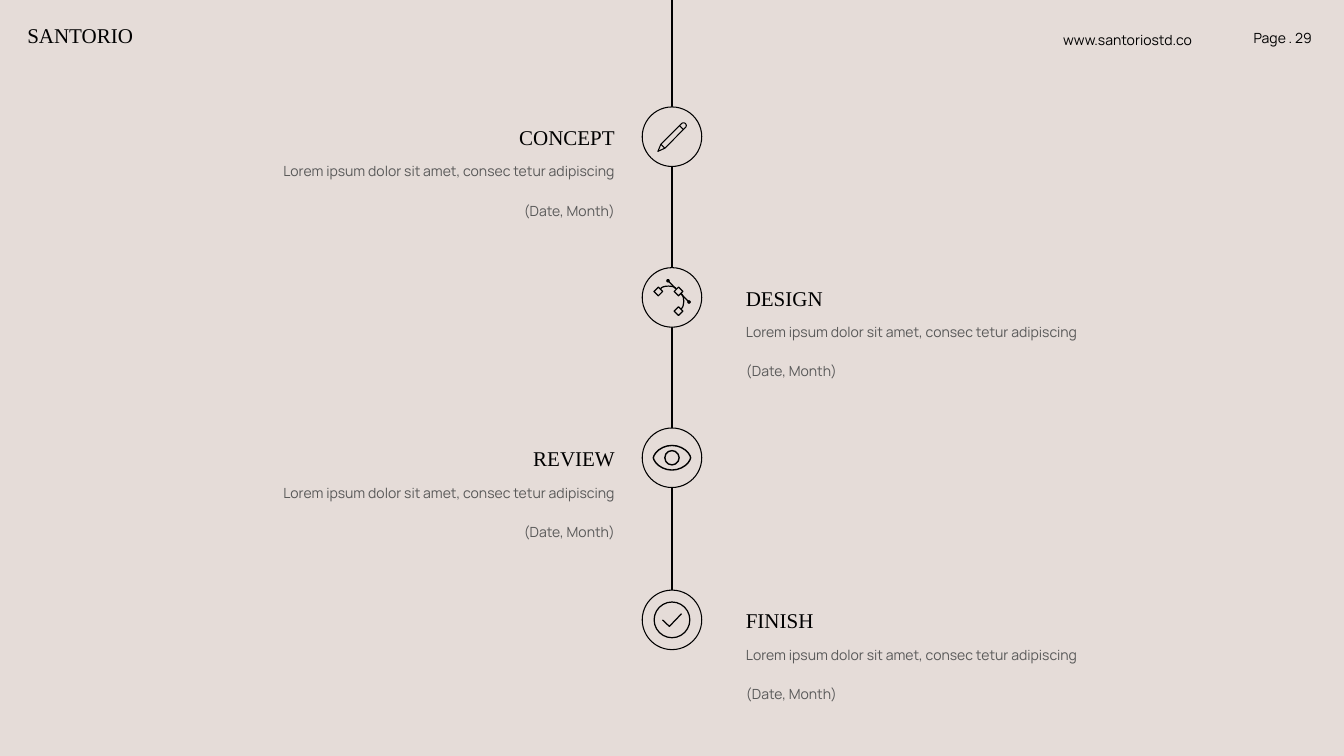
import math
import pptx
import pptx.dml.color
import pptx.enum.shapes
import pptx.enum.text
import pptx.oxml.ns
import pptx.util
from lxml import etree

Cm = pptx.util.Cm
Pt = pptx.util.Pt
RGBColor = pptx.dml.color.RGBColor
ALIGN = pptx.enum.text.PP_ALIGN
ANCHOR = pptx.enum.text.MSO_ANCHOR
FIT = pptx.enum.text.MSO_AUTO_SIZE
OVAL = pptx.enum.shapes.MSO_SHAPE.OVAL
STRAIGHT = pptx.enum.shapes.MSO_CONNECTOR.STRAIGHT

BLACK = RGBColor(0x00, 0x00, 0x00)
GREY = RGBColor(0x59, 0x59, 0x59)
SAND = RGBColor(0xE5, 0xDC, 0xD8)

STUDIO = "SANTORIO"
WEBSITE = "www.santoriostd.co"
PAGE = "Page . 29"
DETAILS = ["Lorem ipsum dolor sit amet, consec tetur adipiscing", "(Date, Month)"]
STEPS = [("CONCEPT", 6.89), ("DESIGN", 14.99), ("REVIEW", 23.07), ("FINISH", 31.24)]

HEADING_FONT = {"name": "Times New Roman", "size": Pt(30), "bold": False}
DETAIL_FONT = {"name": "Manrope", "size": Pt(20), "bold": False}

AXIS_X = 33.87
RING_RADIUS = 1.5
LEFT_EDGE, RIGHT_EDGE = 31.24, 37.34
HEADING_SIZE = (12.3, 1.55)
DETAIL_SIZE = (17.58, 4.55)


def arc(x, y, rx, ry, start, end, power=1.0):
    points = []
    for step in range(25):
        angle = math.radians(start + (end - start) * step / 24)
        rise = math.copysign(abs(math.sin(angle)) ** power, math.sin(angle))
        points.append((x + rx * math.cos(angle), y + ry * rise))
    return points


def diamond(x, y, half=0.22):
    return [(x - half, y), (x, y - half), (x + half, y), (x, y + half), (x - half, y)]


ICONS = {
    "CONCEPT": {
        "width": 1.5,
        "strokes": [
            [(-0.56, 0.38)] + arc(0.58, -0.56, 0.14, 0.14, -135, 45)
            + [(-0.36, 0.58), (-0.71, 0.74), (-0.56, 0.38), (-0.36, 0.58)],
            [(0.38, -0.56), (0.58, -0.36)],
        ],
    },
    "DESIGN": {
        "width": 1.75,
        "strokes": [
            diamond(-0.69, -0.3), diamond(0.33, -0.3), diamond(0.33, 0.69),
            [(-0.2, -0.84), (0.2, -0.43)],
            [(0.44, -0.19), (0.86, 0.23)],
            arc(-0.18, -0.43, 0.38, 0.14, 180, 360),
            arc(0.44, 0.19, 0.15, 0.38, -90, 90),
        ],
        "dots": [(-0.2, -0.84), (0.86, 0.23)],
    },
    "REVIEW": {
        "width": 2,
        "strokes": [arc(0, 0, 0.94, 0.62, 0, 360, 1.3)],
        "circle": 0.36,
    },
    "FINISH": {
        "width": 1.75,
        "strokes": [[(-0.48, 0), (-0.13, 0.33), (0.48, -0.31)]],
        "circle": 0.9,
    },
}

deck = pptx.Presentation()
deck.slide_width, deck.slide_height = Cm(67.74), Cm(38.1)
slide = deck.slides.add_slide(deck.slide_layouts[4])
slide.background.fill.solid()
slide.background.fill.fore_color.rgb = SAND


def write(holder, box, lines, font, color, align=ALIGN.LEFT, spacing=1.0,
          anchor=ANCHOR.TOP, fit=FIT.NONE):
    for side, value in zip(("left", "top", "width", "height"), box):
        setattr(holder, side, Cm(value))
    frame = holder.text_frame
    frame.word_wrap, frame.vertical_anchor, frame.auto_size = True, anchor, fit
    for index, line in enumerate(lines):
        paragraph = frame.add_paragraph() if index else frame.paragraphs[0]
        properties = paragraph._p.get_or_add_pPr()
        properties.set("marL", "0")
        properties.set("indent", "0")
        etree.SubElement(properties, pptx.oxml.ns.qn("a:buNone"))
        layout = {"alignment": align, "line_spacing": spacing,
                  "space_before": Pt(20 if index else 0)}
        for key, value in layout.items():
            setattr(paragraph, key, value)
        run = paragraph.add_run()
        run.text = line
        for key, value in font.items():
            setattr(run.font, key, value)
        run.font.color.rgb = color


def text_box():
    return slide.shapes.add_textbox(0, 0, Cm(1), Cm(1))


def outline(shape, width, fill=None):
    shape.shadow.inherit = False
    if fill is None:
        shape.fill.background()
    else:
        shape.fill.solid()
        shape.fill.fore_color.rgb = fill
    shape.line.color.rgb = BLACK
    shape.line.width = Pt(width)


def circle(x, y, radius, width, fill=None):
    shape = slide.shapes.add_shape(
        OVAL, Cm(x - radius), Cm(y - radius), Cm(2 * radius), Cm(2 * radius))
    outline(shape, width, fill)


def draw_icon(icon, x, y):
    for stroke in icon["strokes"]:
        points = [(Cm(x + dx), Cm(y + dy)) for dx, dy in stroke]
        builder = slide.shapes.build_freeform(*points[0])
        builder.add_line_segments(points[1:], close=False)
        outline(builder.convert_to_shape(), icon["width"])
    for dx, dy in icon.get("dots", []):
        circle(x + dx, y + dy, 0.07, 1, BLACK)
    if "circle" in icon:
        circle(x, y, icon["circle"], icon["width"])


write(slide.shapes.title, (1.12, 1.02, 10, 1.55), [STUDIO], HEADING_FONT, BLACK)
write(text_box(), (53.34, 1.07, 10, 1.42), [WEBSITE], DETAIL_FONT, BLACK,
      spacing=1.5, anchor=ANCHOR.MIDDLE)
write(text_box(), (61.42, 1.07, 4.95, 1.42), [PAGE], DETAIL_FONT, BLACK,
      ALIGN.RIGHT, 1.5, ANCHOR.MIDDLE, FIT.TEXT_TO_FIT_SHAPE)

timeline = slide.shapes.add_connector(STRAIGHT, Cm(AXIS_X), 0, Cm(AXIS_X), Cm(31.14))
timeline.line.color.rgb = BLACK
timeline.line.width = Pt(1.5)
etree.SubElement(timeline._element.spPr, pptx.oxml.ns.qn("a:effectLst"))

detail_holders = [holder for holder in slide.placeholders
                  if holder.placeholder_format.idx > 0]
for index, ((heading, y), details) in enumerate(zip(STEPS, detail_holders)):
    on_left = index % 2 == 0
    align = ALIGN.RIGHT if on_left else ALIGN.LEFT

    def place(size, top):
        left = LEFT_EDGE - size[0] if on_left else RIGHT_EDGE
        return (left, top, *size)

    write(text_box(), place(HEADING_SIZE, y - 0.74), [heading], HEADING_FONT, BLACK, align)
    write(details, place(DETAIL_SIZE, y + 0.77), DETAILS, DETAIL_FONT, GREY, align,
          1.5, fit=FIT.TEXT_TO_FIT_SHAPE)
    circle(AXIS_X, y, RING_RADIUS, 1.5, SAND)
    draw_icon(ICONS[heading], AXIS_X, y)

deck.save("out.pptx")
